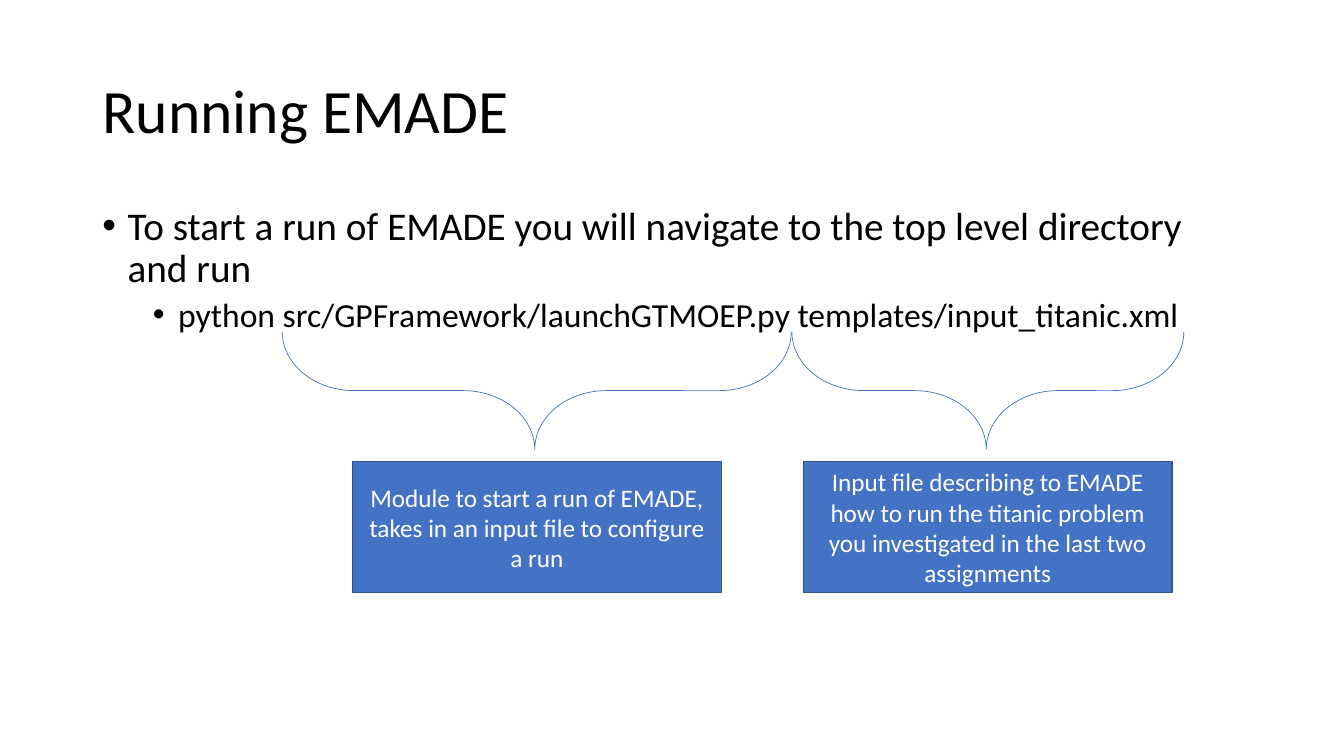
from lxml.etree import SubElement
from pptx import Presentation
from pptx.dml.color import RGBColor
from pptx.enum.shapes import MSO_SHAPE
from pptx.enum.text import MSO_ANCHOR, MSO_AUTO_SIZE, PP_ALIGN
from pptx.oxml.ns import qn
from pptx.util import Pt

BLACK = RGBColor(0x00, 0x00, 0x00)
WHITE = RGBColor(0xFF, 0xFF, 0xFF)
BLUE = RGBColor(0x44, 0x72, 0xC4)
DARK_BLUE = RGBColor(0x32, 0x54, 0x91)


def write(p, text, *, size, color=BLACK, font="Calibri", align=PP_ALIGN.LEFT,
          spacing=None, before=0):
    """Put one formatted run into a paragraph."""
    p.alignment = align
    p.space_before = Pt(before)
    if spacing:
        p.line_spacing = spacing
    r = p.add_run()
    r.text = text
    r.font.name = font
    r.font.size = Pt(size)
    r.font.color.rgb = color


def add_bullet(p, margin, hanging=18):
    pPr = p._p.get_or_add_pPr()
    pPr.set("marL", str(Pt(margin)))
    pPr.set("indent", str(-Pt(hanging)))
    SubElement(pPr, qn("a:buFont"), typeface="Arial")
    SubElement(pPr, qn("a:buChar"), char="•")


class SlideBuilder:
    """Holds the current slide and the shared style."""

    fill, outline = BLUE, DARK_BLUE

    def __init__(self, s):
        self.s = s

    def place(self, sp, left, top, width, height, anchor):
        sp.left, sp.top, sp.width, sp.height = map(Pt, (left, top, width, height))
        tf = sp.text_frame
        tf.word_wrap = True
        tf.auto_size = MSO_AUTO_SIZE.NONE
        tf.vertical_anchor = anchor
        return tf

    def title(self, text, *box):
        tf = self.place(self.s.shapes.title, *box, MSO_ANCHOR.MIDDLE)
        write(tf.paragraphs[0], text, size=44, spacing=0.9)

    def bullets(self, items, *box):
        tf = self.place(self.s.placeholders[1], *box, MSO_ANCHOR.TOP)
        for level, text in enumerate(items):
            p = tf.add_paragraph() if level else tf.paragraphs[0]
            p.level = level
            write(p, text, size=28 - 4 * level, spacing=0.9, before=10 - 5 * level)
            add_bullet(p, 18 + 36 * level)

    def brace(self, left, top, width, height):
        """Downward brace: a right brace turned a quarter about its centre."""
        x = left + (width - height) / 2
        y = top + (height - width) / 2
        sp = self.s.shapes.add_shape(MSO_SHAPE.RIGHT_BRACE,
                                     Pt(x), Pt(y), Pt(height), Pt(width))
        sp.rotation = 90
        sp.adjustments[0], sp.adjustments[1] = 0.61, 0.504
        sp.shadow.inherit = False
        sp.fill.background()
        sp.line.color.rgb = self.fill
        sp.line.width = Pt(0.5)

    def box(self, text, *box):
        sp = self.s.shapes.add_shape(MSO_SHAPE.RECTANGLE, *map(Pt, box))
        tf = self.place(sp, *box, MSO_ANCHOR.MIDDLE)
        sp.shadow.inherit = False
        sp.fill.solid()
        sp.fill.fore_color.rgb = self.fill
        sp.line.color.rgb = self.outline
        sp.line.width = Pt(1)
        write(tf.paragraphs[0], text, size=18, color=WHITE, align=PP_ALIGN.CENTER)


def main():
    prs = Presentation()
    prs.slide_width, prs.slide_height = Pt(960), Pt(540)
    slide = SlideBuilder(prs.slides.add_slide(prs.slide_layouts[1]))

    # Title and command
    slide.title("Running EMADE", 66, 28.75, 828, 104.4)
    slide.bullets([
        "To start a run of EMADE you will navigate to the top level directory and run",
        "python src/GPFramework/launchGTMOEP.py templates/input_titanic.xml",
    ], 66, 143.75, 828, 342.6)

    # Each argument: brace left and width, box left, explanation
    arguments = [
        (201.6, 363.6, 251.8,
         "Module to start a run of EMADE, takes in an input file to configure a run"),
        (565.6, 280, 573.8,
         "Input file describing to EMADE how to run the titanic problem "
         "you investigated in the last two assignments"),
    ]
    for brace_left, brace_width, box_left, text in arguments:
        slide.brace(brace_left, 237, brace_width, 84)
        slide.box(text, box_left, 329.8, 263.5, 93.6)

    prs.save("out.pptx")


if __name__ == "__main__":
    main()
